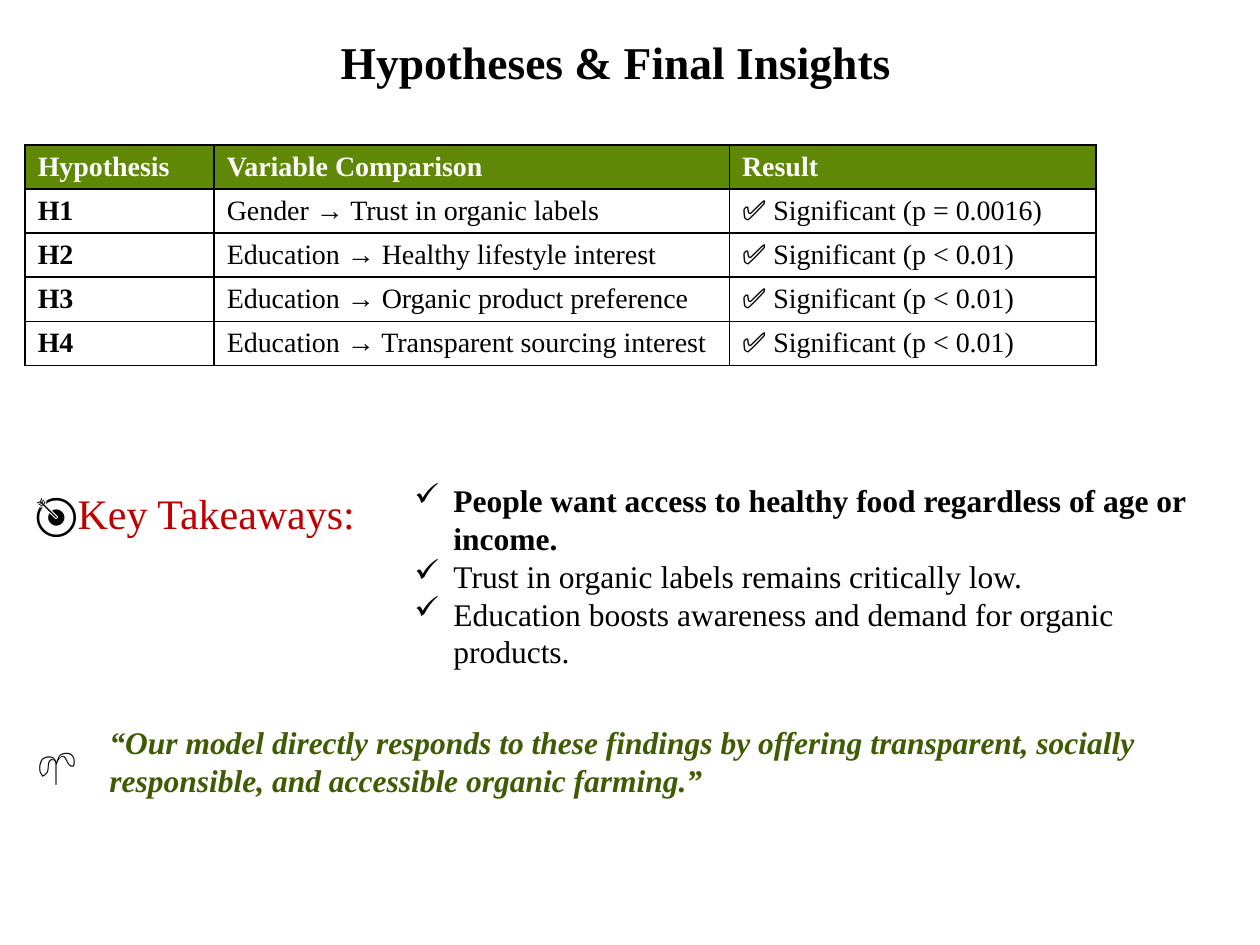
"""Build the slide of hypotheses and final insights."""
import pptx
import pptx.dml.color
import pptx.enum.text
import pptx.oxml
import pptx.oxml.ns
import pptx.util

ANCHOR = pptx.enum.text.MSO_ANCHOR
ALIGN = pptx.enum.text.PP_ALIGN
NAMESPACE = pptx.oxml.ns.nsdecls("a")
BLACK, WHITE, RED = "000000", "FFFFFF", "C00000"
HEADER_GREEN, QUOTE_GREEN = "5E8805", "3F5B03"


def color(value):
    return pptx.dml.color.RGBColor.from_string(value)


def add_run(paragraph, text, size, shade=BLACK, **style):
    run = paragraph.add_run()
    run.text = text
    values = {"name": "Times New Roman", "size": pptx.util.Pt(size), "bold": False, **style}
    for name, value in values.items():
        setattr(run.font, name, value)
    run.font.color.rgb = color(shade)


presentation = pptx.Presentation()
presentation.slide_width = pptx.util.Inches(10)
presentation.slide_height = pptx.util.Inches(7.5)
slide = presentation.slides.add_slide(presentation.slide_layouts[6])
unit = presentation.slide_width // 10

hypotheses = [
    ("Hypothesis", "Variable Comparison", "Result"),
    ("H1", "Gender → Trust in organic labels", "✅ Significant (p = 0.0016)"),
    ("H2", "Education → Healthy lifestyle interest", "✅ Significant (p < 0.01)"),
    ("H3", "Education → Organic product preference", "✅ Significant (p < 0.01)"),
    ("H4", "Education → Transparent sourcing interest", "✅ Significant (p < 0.01)"),
]
column_widths = [1.5, 4.09, 2.91]
row_height = 0.35
table_area = [0.2, 1.15, sum(column_widths), row_height * len(hypotheses)]
table = slide.shapes.add_table(
    len(hypotheses), len(column_widths), *[int(unit * value) for value in table_area]
).table
table.horz_banding = False
for column, width in zip(table.columns, column_widths):
    column.width = int(unit * width)
for row_index, texts in enumerate(hypotheses):
    table.rows[row_index].height = int(unit * row_height)
    for column_index, text in enumerate(texts):
        cell = table.cell(row_index, column_index)
        is_header = row_index == 0
        cell_format = {
            "vertical_anchor": ANCHOR.MIDDLE,
            "margin_top": int(unit * 0.04),
            "margin_bottom": int(unit * 0.04),
        }
        for name, value in cell_format.items():
            setattr(cell, name, value)
        add_run(cell.text_frame.paragraphs[0], text, 16, WHITE if is_header else BLACK,
                bold=is_header or column_index == 0)
        if is_header:
            cell.fill.solid()
            cell.fill.fore_color.rgb = color(HEADER_GREEN)
        else:
            cell.fill.background()
        properties = cell._tc.get_or_add_tcPr()
        for position, side in enumerate("LRTB"):
            properties.insert(position, pptx.oxml.parse_xml(
                f'<a:ln{side} {NAMESPACE} w="12700"><a:solidFill>'
                f'<a:srgbClr val="{BLACK}"/></a:solidFill></a:ln{side}>'))

bold = {"bold": True}
quote = ("“Our model directly responds to these findings by offering transparent, "
         "socially responsible, and accessible organic farming.”")
text_boxes = [
    ((1.62, 0.29, 6.54, 0.39), {"alignment": ALIGN.CENTER}, ANCHOR.MIDDLE, "",
     [[("Hypotheses & Final Insights", 26, BLACK, bold)]]),
    ((3.19, 3.77, 6.48, 1.62), {}, ANCHOR.TOP, "✓",
     [[("People want access to healthy food regardless of age or income.", 18, BLACK, bold)],
      [("Trust in organic labels remains critically low.", 18, BLACK, {})],
      [("Education boosts awareness and demand for organic products.", 18, BLACK, {})]]),
    ((0.18, 3.82, 5.16, 0.5), {}, ANCHOR.TOP, "",
     [[("🎯", 24, BLACK, {}), ("Key Takeaways:", 24, RED, {})]]),
    ((0.77, 5.69, 8.45, 0.71), {}, ANCHOR.TOP, "",
     [[(quote, 18, QUOTE_GREEN, {"bold": True, "italic": True})]]),
    ((0.2, 5.79, 0.63, 0.5), {}, ANCHOR.TOP, "", [[("🌱", 24, BLACK, {})]]),
]
for area, paragraph_format, anchor, bullet, paragraphs in text_boxes:
    frame = slide.shapes.add_textbox(*[int(unit * value) for value in area]).text_frame
    frame.word_wrap = True
    frame.vertical_anchor = anchor
    for index, runs in enumerate(paragraphs):
        paragraph = frame.add_paragraph() if index else frame.paragraphs[0]
        for name, value in paragraph_format.items():
            setattr(paragraph, name, value)
        if bullet:
            properties = paragraph._p.get_or_add_pPr()
            indent = int(unit * 0.31)
            properties.set("marL", str(indent))
            properties.set("indent", str(-indent))
            properties.append(pptx.oxml.parse_xml(f'<a:buChar {NAMESPACE} char="{bullet}"/>'))
        for text, size, shade, style in runs:
            add_run(paragraph, text, size, shade, **style)

presentation.save("out.pptx")
